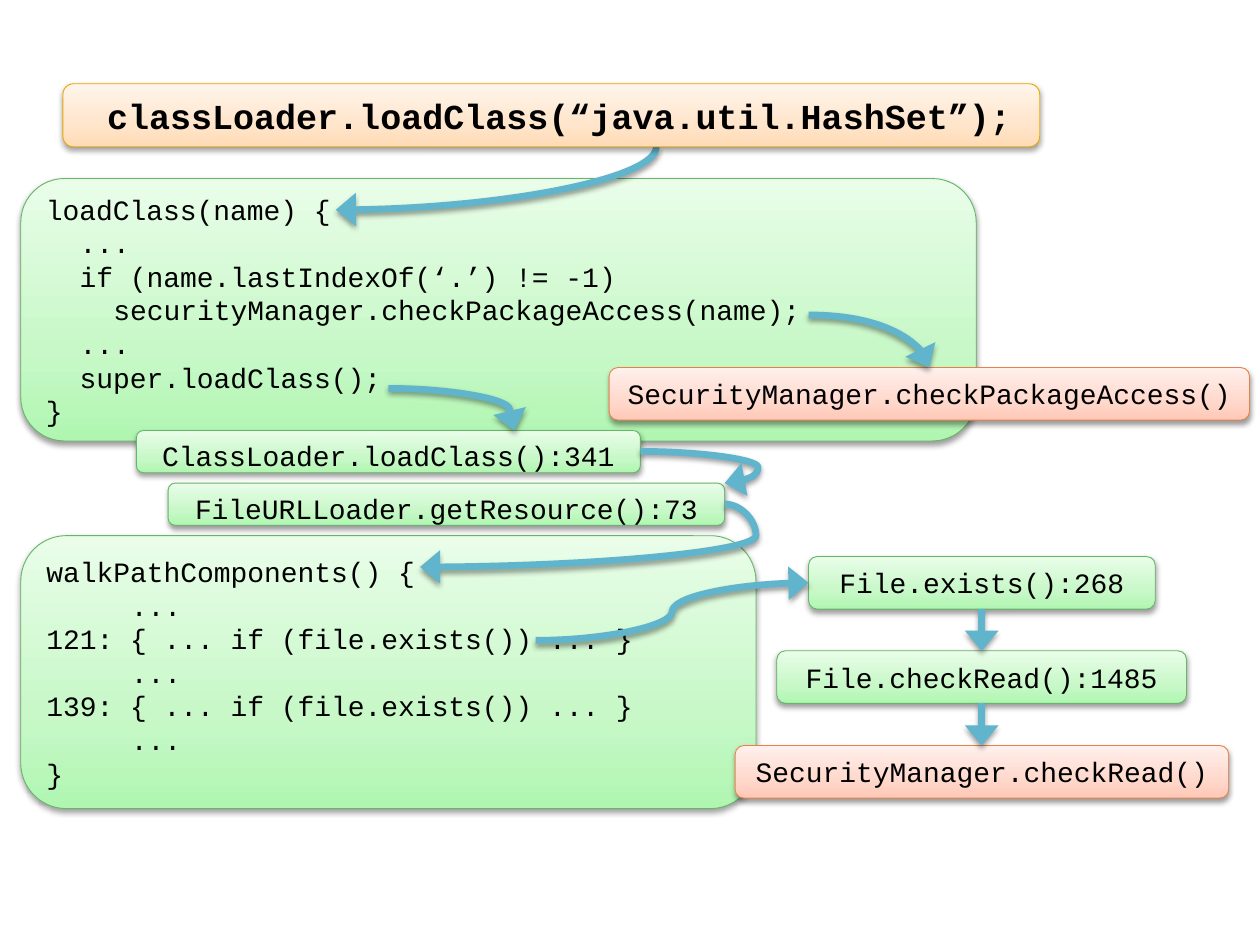
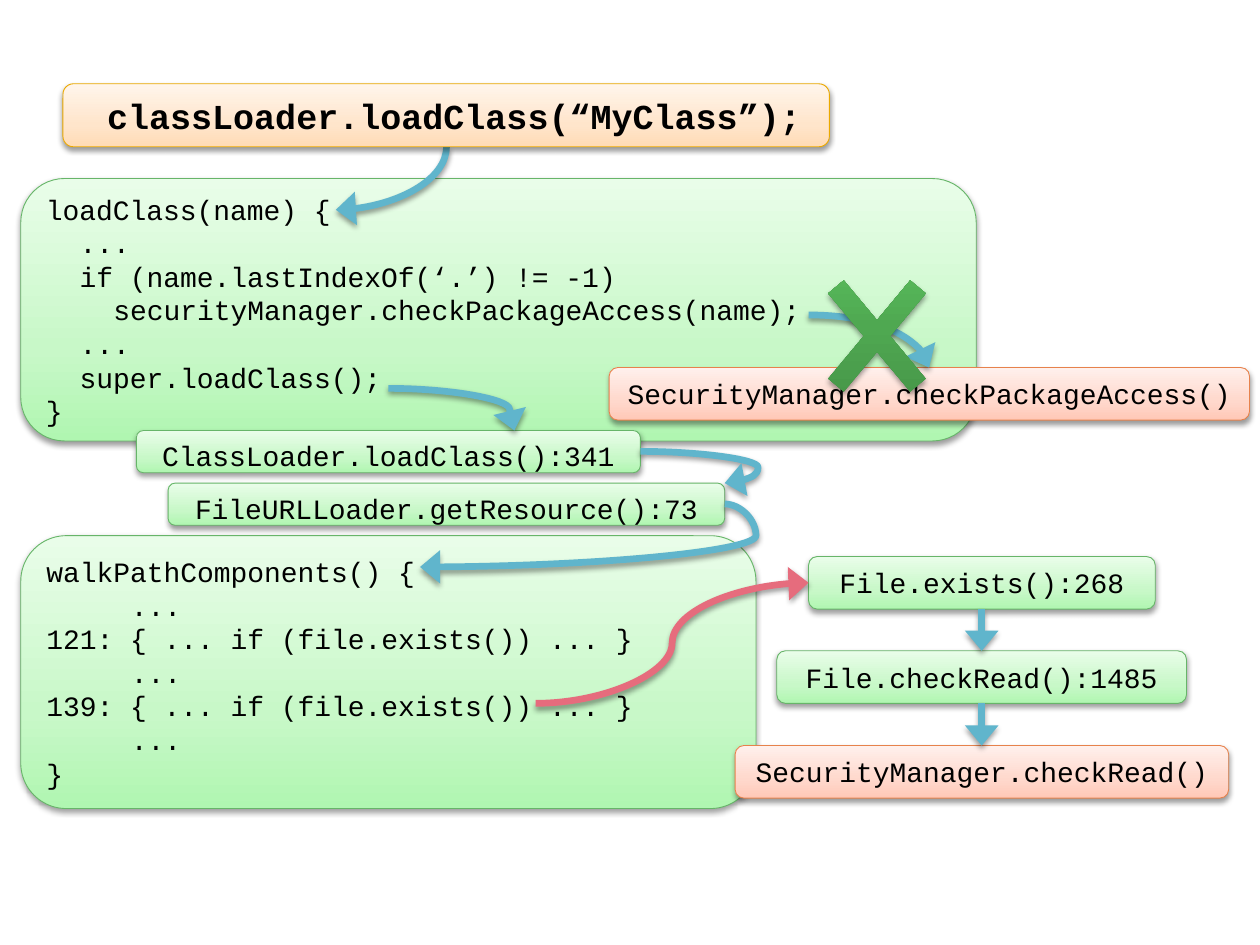
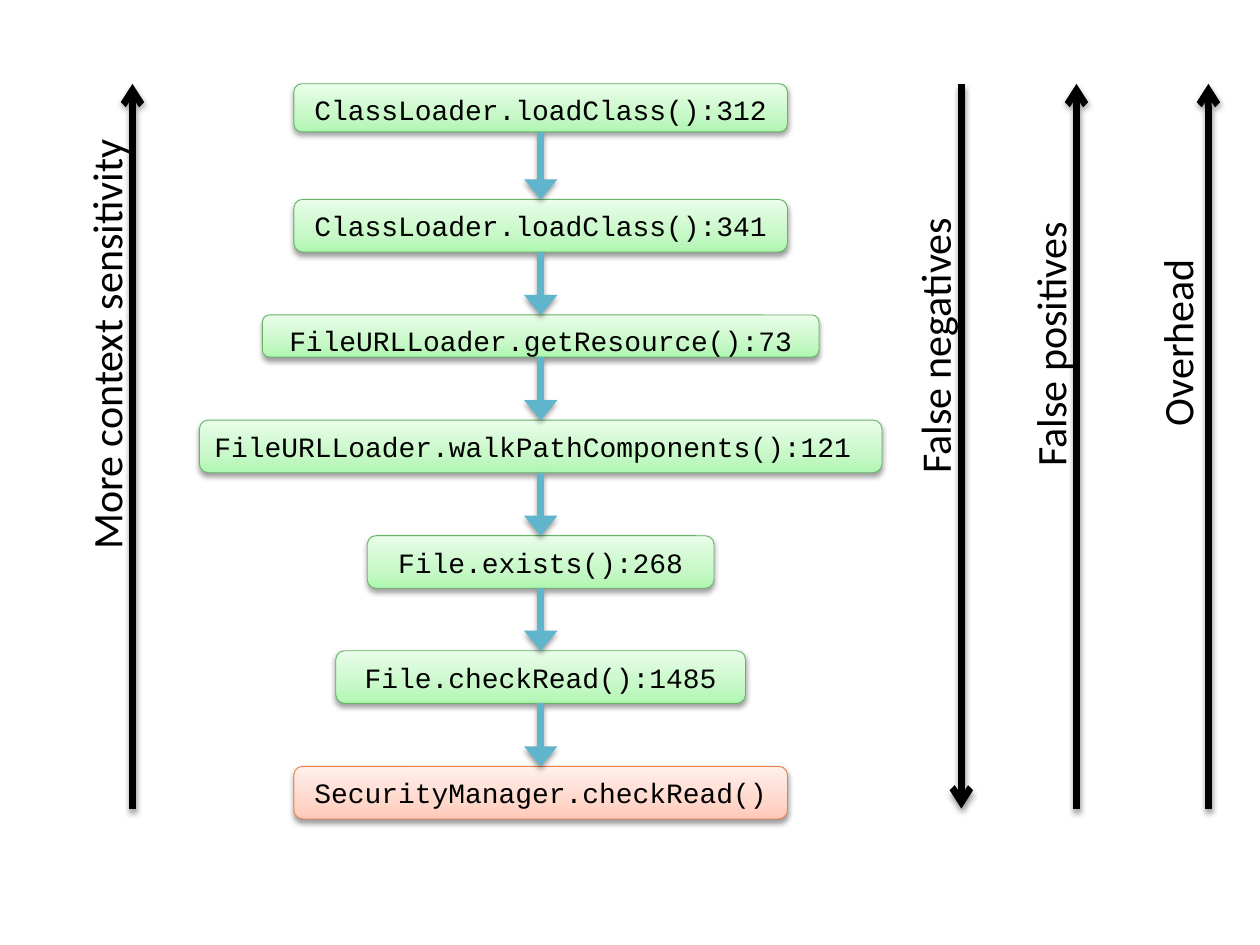
import copy
import lxml.etree
import pptx
import pptx.dml.color
import pptx.enum.shapes
import pptx.enum.text
import pptx.oxml
import pptx.oxml.ns
import pptx.util

Cm = pptx.util.Cm
Pt = pptx.util.Pt
RGB = pptx.dml.color.RGBColor
qn = pptx.oxml.ns.qn
Shape = pptx.enum.shapes.MSO_SHAPE
Joint = pptx.enum.shapes.MSO_CONNECTOR
Align = pptx.enum.text.PP_ALIGN
Anchor = pptx.enum.text.MSO_ANCHOR

BLACK = RGB(0x00, 0x00, 0x00)
BLUE = RGB(0x60, 0xB5, 0xCC)
RED = RGB(0xE6, 0x6C, 0x7D)

# Each look: three gradient colours from bottom to top, middle stop, outline
GREEN = (RGB(0xB0, 0xF6, 0xB1), RGB(0xC8, 0xF8, 0xC8), RGB(0xE9, 0xFD, 0xE9),
         0.35, RGB(0x67, 0xB5, 0x69))
ROSE = (RGB(0xFF, 0xC8, 0xB7), RGB(0xFF, 0xD8, 0xCC), RGB(0xFF, 0xF0, 0xEC),
        0.35, RGB(0xE7, 0x82, 0x4C))
AMBER = (RGB(0xFF, 0xDB, 0xB5), RGB(0xFF, 0xE5, 0xCB), RGB(0xFF, 0xF5, 0xEB),
         0.35, RGB(0xEB, 0xA9, 0x00))
LEAF = (RGB(0x43, 0x8F, 0x45), RGB(0x4F, 0xA8, 0x51), RGB(0x5C, 0xC3, 0x5F),
        0.55, None)

CODE_FONT = "Courier New"
LABEL_FONT = "Calibri"
# Lengths in cm
CHAR = 0.34     # width of a 16 pt code character
LEADING = 0.04  # line height for each point of text size
MARGIN = 0.25   # top and bottom text margins together
TOP = 1.69      # upper edge of every slide's content
FLOOR = 16.3    # lower edge of the panels and scales
TALL, SLIM = 1.06, 0.85  # heights of the call boxes

SHADOW = (
    '<a:effectLst xmlns:a="http://schemas.openxmlformats.org/drawingml/2006/main">'
    '<a:outerShdw blurRad="40000" dist="23000" dir="5400000" rotWithShape="0">'
    '<a:srgbClr val="000000"><a:alpha val="38000"/></a:srgbClr>'
    '</a:outerShdw></a:effectLst>')


def box(slide, left, top, width, height, look, text="", align=Align.CENTER,
        size=16, kind=Shape.ROUNDED_RECTANGLE):
    """Add a gradient shape with code; leading spaces become indents."""
    shape = slide.shapes.add_shape(kind, Cm(left), Cm(top), Cm(width), Cm(height))
    *tints, middle, edge = look
    shape.fill.gradient()
    shape.fill.gradient_angle = 90
    stops = shape.element.spPr.find(".//" + qn("a:gsLst"))
    stops.append(copy.deepcopy(stops[0]))
    for stop, tint, place in zip(shape.fill.gradient_stops, tints, (0, middle, 1)):
        stop.color.rgb = tint
        stop.position = place
    if edge is None:
        shape.line.fill.background()
    else:
        shape.line.color.rgb = edge
        shape.line.width = Pt(0.5)
    if text:
        frame = shape.text_frame
        lines = text.split("\n")
        frame.text = "\n".join(line.lstrip() for line in lines)
        # Text too tall for its box starts at the top and runs over below
        corners = 0.1 * min(width, height)
        if len(lines) * size * LEADING + MARGIN + corners > height:
            frame.vertical_anchor = Anchor.TOP
        for para, line in zip(frame.paragraphs, lines):
            para.alignment = align
            depth = len(line) - len(line.lstrip())
            if depth:
                para._p.get_or_add_pPr().set("marL", str(Cm(CHAR * depth)))
            font = para.runs[0].font
            font.name, font.size, font.color.rgb = CODE_FONT, Pt(size), BLACK
    return shape


def link(slide, x1, y1, x2, y2, bend=None, color=BLUE, mark="triangle", end="tail"):
    """Add an arrow.

    bend: None for a straight line, a ratio for an S curve, "over" for a curve
    that leaves sideways, or "down" for one that leaves downwards to the left.
    """
    if bend == "down":
        # The curve is laid out on its side, then turned by 90 degrees
        midx, midy = (x1 + x2) / 2, (y1 + y2) / 2
        wide, high = abs(y2 - y1) / 2, abs(x2 - x1) / 2
        x1, y1, x2, y2 = midx - wide, midy - high, midx + wide, midy + high
    kind = Joint.STRAIGHT if bend is None else Joint.CURVE
    line = slide.shapes.add_connector(kind, Cm(x1), Cm(y1), Cm(x2), Cm(y2))
    line.line.color.rgb = color
    line.line.width = Pt(3.82)
    props = line.element.spPr
    if bend in ("over", "down"):
        props.prstGeom.set("prst", "curvedConnector2")
        if bend == "down":
            props.xfrm.set("rot", "5400000")
    elif bend is not None:
        guides = props.prstGeom.find(qn("a:avLst"))
        lxml.etree.SubElement(guides, qn("a:gd"), name="adj1",
                              fmla=f"val {round(bend * 100000)}")
    head = lxml.etree.SubElement(props.find(qn("a:ln")), qn(f"a:{end}End"), type=mark)
    if mark == "triangle":
        head.set("w", "lg")


deck = pptx.Presentation()
deck.slide_width, deck.slide_height = Cm(25.4), Cm(19.05)
blank = deck.slide_layouts[6]

LOAD = """loadClass(name) {
  ...
  if (name.lastIndexOf(‘.’) != -1)
    securityManager.checkPackageAccess(name);
  ...
  super.loadClass();
}"""
WALK = """walkPathComponents() {
     ...
121: { ... if (file.exists()) ... }
     ...
139: { ... if (file.exists()) ... }
     ...
}"""

# Slides 1 and 2: the same call flow for two class names
# Code panels: text, top, width, height
panels = [(LOAD, 3.6, 19.26, 5.29),
          (WALK, 10.8, 14.82, 5.5)]
# Calls: text, left, top, width, height, look
steps = [
    ("ClassLoader.loadClass():341", 2.75, 8.68, 10.16, SLIM, GREEN),
    ("FileURLLoader.getResource():73", 3.39, 9.74, 11.22, SLIM, GREEN),
    ("SecurityManager.checkPackageAccess()", 12.28, 7.41, 12.91, TALL, ROSE),
    ("File.exists():268", 16.3, 11.22, 6.99, TALL, GREEN),
    ("File.checkRead():1485", 15.66, 13.12, 8.26, TALL, GREEN),
    ("SecurityManager.checkRead()", 14.82, 15.03, 9.95, TALL, ROSE),
]
# Arrows: start, end, bend
arrows = [
    (7.83, 7.83, 10.37, 8.68, 0.963),     # super.loadClass() to ClassLoader
    (12.91, 9.1, 14.61, 9.74, 1.396),     # ClassLoader to getResource()
    (14.61, 10.16, 8.47, 11.43, -0.103),  # getResource() to walkPathComponents()
    (16.3, 6.35, 18.73, 7.41, "over"),    # loadClass() to checkPackageAccess()
    (19.79, 12.28, 19.79, 13.12, None),   # File.exists() to File.checkRead()
    (19.79, 14.18, 19.79, 15.03, None),   # File.checkRead() to SecurityManager
]
# Cases: class name, heading width, x where the heading's arrow leaves,
# y of the code line that calls File.exists(), colour of that call's arrow
cases = [("java.util.HashSet", 19.69, 13.23, 12.91, BLUE),
         ("MyClass", 15.45, 9, 14.18, RED)]

for name, width, exit_x, call_y, color in cases:
    slide = deck.slides.add_slide(blank)
    for text, top, wide, high in panels:
        box(slide, 0.42, top, wide, high, GREEN, text, Align.LEFT)
    for text, left, top, wide, high, look in steps:
        box(slide, left, top, wide, high, look, text)
    for arrow in arrows:
        link(slide, *arrow)
    link(slide, 10.8, call_y, 16.3, 11.75, 0.5, color)
    link(slide, exit_x, 2.96, 6.77, 4.23, "down")

    head = box(slide, 1.27, TOP, width, 1.27, AMBER,
               f"classLoader.loadClass(“{name}”);", size=20)
    para = head.text_frame.paragraphs[0]
    para.runs[0].font.bold = True
    props = para._p.get_or_add_pPr()
    props.set("marL", str(Cm(1.22)))
    props.set("indent", str(Cm(-0.89)))

# On slide 2 the package check is crossed out
cross = box(slide, 16.09, 4.87, 3.18, 3.81, LEAF, kind=Shape.MATH_MULTIPLY)
cross.adjustments[0] = 0.128

# Slide 3: the call stack, centred on one axis, and its trade-offs
slide = deck.slides.add_slide(blank)
AXIS = 10.9
# Calls: text, top, width, height, look, alignment
stack = [
    ("ClassLoader.loadClass():312", TOP, 9.95, 0.97, GREEN, Align.CENTER),
    ("ClassLoader.loadClass():341", 4.02, 9.95, TALL, GREEN, Align.CENTER),
    ("FileURLLoader.getResource():73", 6.35, 11.22, SLIM, GREEN, Align.CENTER),
    ("FileURLLoader.walkPathComponents():121", 8.47, 13.76, TALL, GREEN, Align.LEFT),
    ("File.exists():268", 10.8, 6.99, TALL, GREEN, Align.CENTER),
    ("File.checkRead():1485", 13.12, 8.26, TALL, GREEN, Align.CENTER),
    ("SecurityManager.checkRead()", 15.45, 9.95, TALL, ROSE, Align.CENTER),
]
bottom = None
for text, top, width, height, look, align in stack:
    box(slide, AXIS - width / 2, top, width, height, look, text, align)
    if bottom is not None:
        link(slide, AXIS, bottom, AXIS, top)
    bottom = top + height

# Scales: label, x of the arrow, pointed end, centre and length of the label
scales = [("More context sensitivity", 2.67, "head", 2.13, 8.99),
          ("False negatives", 19.38, "tail", 18.83, 5.93),
          ("False positives", 21.7, "head", 21.16, 5.64),
          ("Overhead", 24.36, "head", 23.72, 4.01)]
for text, x, end, center, length in scales:
    link(slide, x, TOP, x, FLOOR, color=BLACK, mark="arrow", end=end)
    label = slide.shapes.add_textbox(Cm(center - length / 2), Cm(6.2),
                                     Cm(length), Cm(1.27))
    label.rotation = 270
    frame = label.text_frame
    frame.text = text
    frame.word_wrap = False
    frame.auto_size = pptx.enum.text.MSO_AUTO_SIZE.SHAPE_TO_FIT_TEXT
    font = frame.paragraphs[0].runs[0].font
    font.name, font.size, font.color.rgb = LABEL_FONT, Pt(24), BLACK

# Everything but the plain labels casts the same soft shadow
for slide in deck.slides:
    for shape in slide.shapes:
        if shape.shape_type != pptx.enum.shapes.MSO_SHAPE_TYPE.TEXT_BOX:
            shape.element.spPr.append(pptx.oxml.parse_xml(SHADOW))

deck.save("out.pptx")
